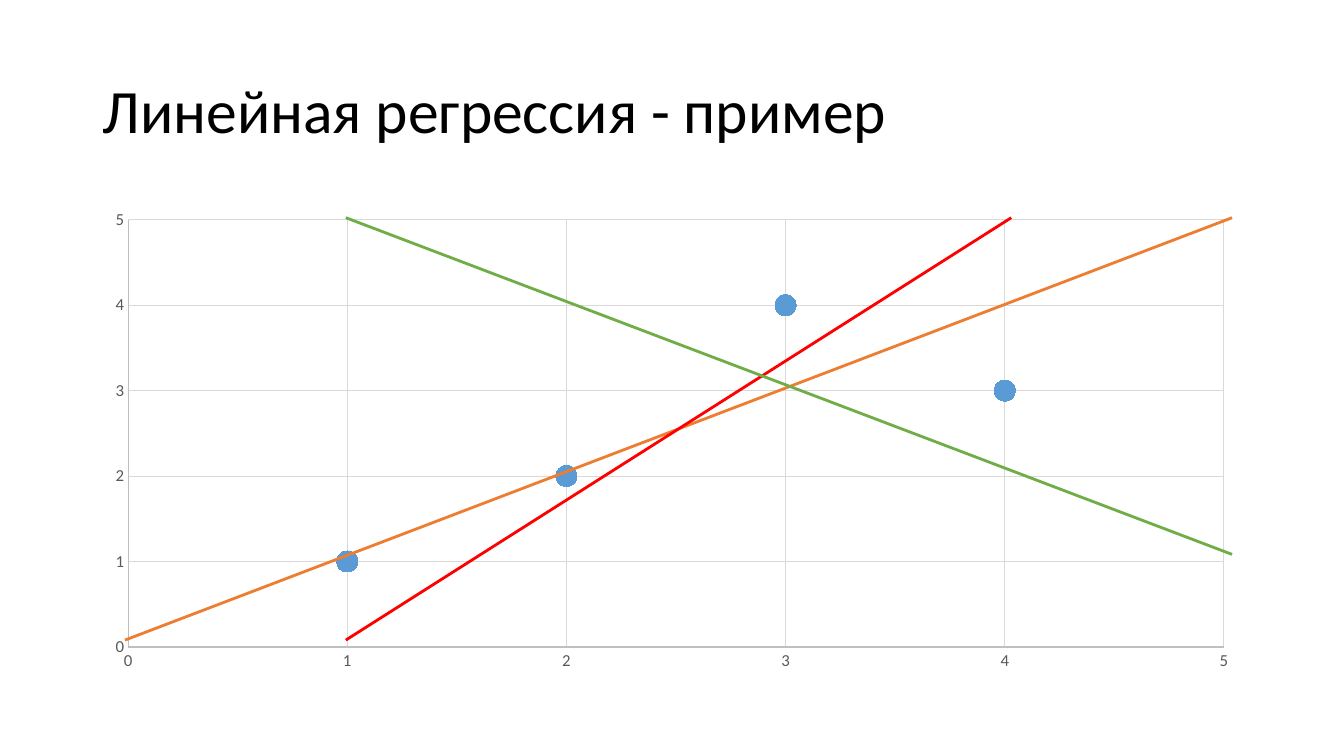
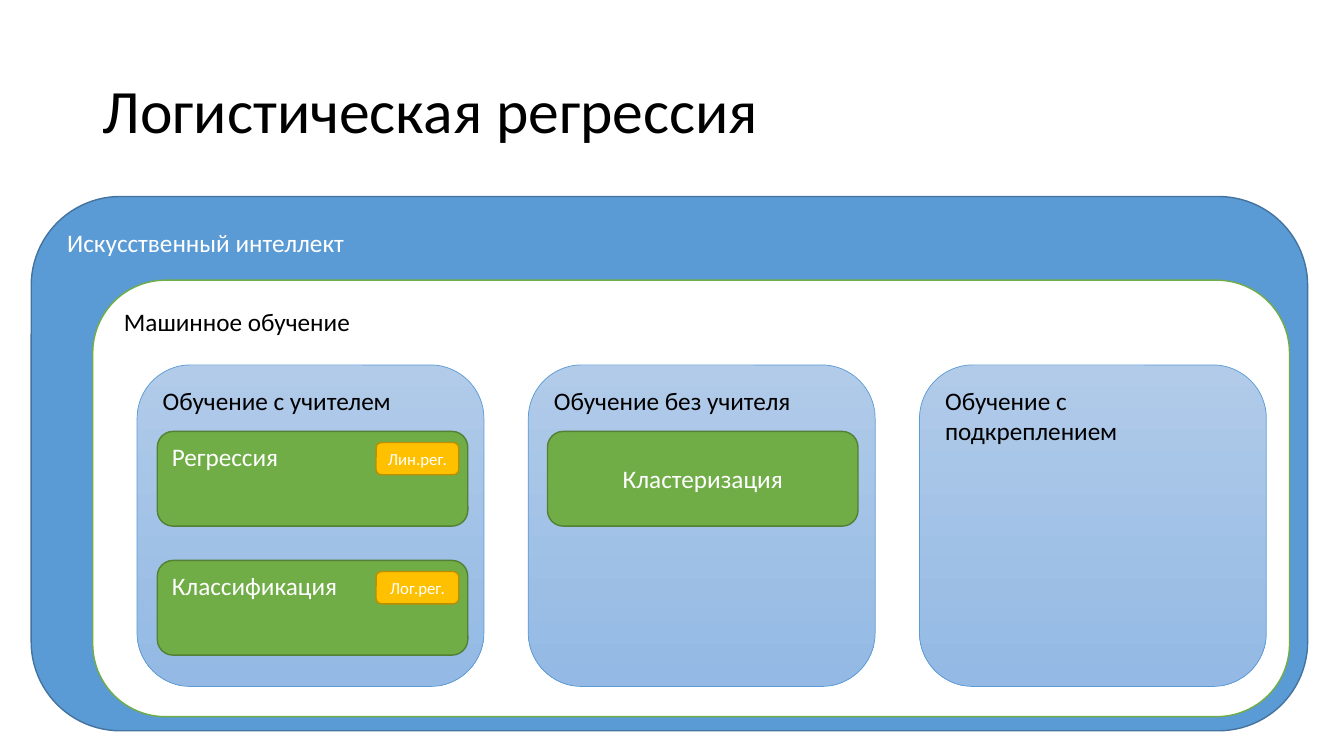
from lxml.etree import SubElement
from pptx import Presentation
from pptx.chart.data import XyChartData
from pptx.dml.color import RGBColor
from pptx.enum.chart import XL_CHART_TYPE, XL_MARKER_STYLE, XL_TICK_MARK
from pptx.enum.shapes import MSO_CONNECTOR, MSO_SHAPE
from pptx.enum.text import MSO_ANCHOR, PP_ALIGN
from pptx.oxml.ns import qn
from pptx.util import Pt

PX = 9144  # 100 px to the inch
FONT = "Calibri"

BLACK = RGBColor(0x00, 0x00, 0x00)
WHITE = RGBColor(0xFF, 0xFF, 0xFF)
BLUE = RGBColor(0x5B, 0x9B, 0xD5)
DARK_BLUE = RGBColor(0x43, 0x73, 0x9E)
PALE_TOP = RGBColor(0xB1, 0xCB, 0xE9)
PALE_BOTTOM = RGBColor(0x93, 0xB9, 0xE4)
GREEN = RGBColor(0x70, 0xAD, 0x47)
DARK_GREEN = RGBColor(0x53, 0x80, 0x35)
GOLD = RGBColor(0xFF, 0xC0, 0x00)
DARK_GOLD = RGBColor(0xBD, 0x8E, 0x00)
ORANGE = RGBColor(0xED, 0x7D, 0x31)
RED = RGBColor(0xFF, 0x00, 0x00)
AXIS_TEXT = RGBColor(0x59, 0x59, 0x59)
AXIS_LINE = RGBColor(0xBF, 0xBF, 0xBF)
GRID = RGBColor(0xD9, 0xD9, 0xD9)

TITLE_BOX = (92, 40, 1150, 145)
OUTER = dict(fill=BLUE, line=DARK_BLUE, width=1, color=WHITE, size=18, centred=False)
INNER = dict(OUTER, fill=WHITE, line=GREEN, color=BLACK)
BRANCH = dict(INNER, fill=[PALE_TOP, PALE_BOTTOM], line=BLUE, width=0.5)
TASK = dict(OUTER, fill=GREEN, line=DARK_GREEN)
CENTRED_TASK = dict(TASK, centred=True)
METHOD = dict(CENTRED_TASK, fill=GOLD, line=DARK_GOLD, size=12)

presentation = Presentation()
presentation.slide_width = 1333 * PX
presentation.slide_height = 750 * PX


def add_titled_slide(title):
    slide = presentation.slides.add_slide(presentation.slide_layouts[6])
    frame = slide.shapes.add_textbox(*(n * PX for n in TITLE_BOX)).text_frame
    frame.word_wrap = True
    frame.vertical_anchor = MSO_ANCHOR.MIDDLE
    paragraph = frame.paragraphs[0]
    paragraph.text = title
    paragraph.line_spacing = 0.9
    for name, value in dict(name=FONT, size=Pt(44)).items():
        setattr(paragraph.font, name, value)
    paragraph.font.color.rgb = BLACK
    return slide


def add_box(slide, box, text, style):
    """Add a rounded box; a list of two fill colours makes a downward gradient."""
    shape = slide.shapes.add_shape(MSO_SHAPE.ROUNDED_RECTANGLE, *(n * PX for n in box))
    shape.shadow.inherit = False
    if isinstance(style["fill"], list):
        shape.fill.gradient()
        shape.fill.gradient_angle = 270
        for stop, color in zip(shape.fill.gradient_stops, style["fill"]):
            stop.color.rgb = color
    else:
        shape.fill.solid()
        shape.fill.fore_color.rgb = style["fill"]
    shape.line.color.rgb = style["line"]
    shape.line.width = Pt(style["width"])
    frame = shape.text_frame
    frame.word_wrap = True
    frame.vertical_anchor = MSO_ANCHOR.MIDDLE if style["centred"] else MSO_ANCHOR.TOP
    paragraph = frame.paragraphs[0]
    paragraph.text = text
    paragraph.alignment = PP_ALIGN.CENTER if style["centred"] else PP_ALIGN.LEFT
    for name, value in dict(name=FONT, size=Pt(style["size"])).items():
        setattr(paragraph.font, name, value)
    paragraph.font.color.rgb = style["color"]


# Slide 1: scatter chart with three candidate lines
slide = add_titled_slide("Линейная регрессия - пример")

data = XyChartData()
points = data.add_series("Series 1")
for x, y in [(1, 1), (2, 2), (3, 4), (4, 3)]:
    points.add_data_point(x, y)

left, top, width, height = 92, 200, 1150, 476
chart = slide.shapes.add_chart(
    XL_CHART_TYPE.XY_SCATTER, left * PX, top * PX, width * PX, height * PX, data
).chart
chart.has_legend = False
chart.has_title = False
chart.font.name = FONT
chart.font.size = Pt(10)
chart.plots[0].vary_by_categories = False

AXIS_FORMAT = dict(
    minimum_scale=0, maximum_scale=5, major_unit=1, has_major_gridlines=True,
    major_tick_mark=XL_TICK_MARK.NONE, minor_tick_mark=XL_TICK_MARK.NONE,
)
for axis in (chart.category_axis, chart.value_axis):
    for name, value in AXIS_FORMAT.items():
        setattr(axis, name, value)
    labels = axis.tick_labels
    labels.number_format = "General"
    labels.number_format_is_linked = False
    for name, value in dict(name=FONT, size=Pt(12)).items():
        setattr(labels.font, name, value)
    labels.font.color.rgb = AXIS_TEXT
    for line, color in ((axis.format.line, AXIS_LINE),
                        (axis.major_gridlines.format.line, GRID)):
        line.color.rgb = color
        line.width = Pt(0.75)

series = chart.plots[0].series[0]
series.format.line.fill.background()
series.marker.style = XL_MARKER_STYLE.CIRCLE
series.marker.size = 15
series.marker.format.fill.solid()
series.marker.format.fill.fore_color.rgb = BLUE
series.marker.format.line.color.rgb = BLUE

# Fix the plot area inside the axes
plot_left, plot_top, plot_width, plot_height = 127, 218, 1087, 424
plot_area = chart._chartSpace.chart.plotArea
layout = plot_area.find(qn("c:layout"))
if layout is None:
    layout = SubElement(plot_area, qn("c:layout"))
    plot_area.insert(0, layout)
manual = SubElement(layout, qn("c:manualLayout"))
for tag, value in {
    "layoutTarget": "inner", "xMode": "edge", "yMode": "edge",
    "x": (plot_left - left) / width, "y": (plot_top - top) / height,
    "w": plot_width / width, "h": plot_height / height,
}.items():
    SubElement(manual, qn(f"c:{tag}")).set("val", str(value))

for ends, color in [
    ((124, 635, 1222, 216), ORANGE),
    ((343, 635, 1003, 216), RED),
    ((343, 216, 1222, 550), GREEN),
]:
    connector = slide.shapes.add_connector(MSO_CONNECTOR.STRAIGHT, *(n * PX for n in ends))
    connector.line.color.rgb = color
    connector.line.width = Pt(2)
    SubElement(connector._element.spPr, qn("a:effectLst"))

# Slide 2: nested fields of artificial intelligence
slide = add_titled_slide("Логистическая регрессия")
add_box(slide, (31, 195, 1266, 530), "Искусственный интеллект", OUTER)
add_box(slide, (92, 278, 1187, 433), "Машинное обучение", INNER)

branches = ["Обучение с учителем", "Обучение без учителя", "Обучение с подкреплением"]
for column, text in enumerate(branches):
    add_box(slide, (136 + 388 * column, 362, 344, 319), text, BRANCH)

for row, (task, method) in enumerate([("Регрессия", "Лин.рег."), ("Классификация", "Лог.рег.")]):
    task_top = 428 + 128 * row
    add_box(slide, (156, task_top, 308, 94), task, TASK)
    add_box(slide, (373, task_top + 11, 82, 32), method, METHOD)
add_box(slide, (543, 428, 308, 94), "Кластеризация", CENTRED_TASK)

presentation.save("out.pptx")
